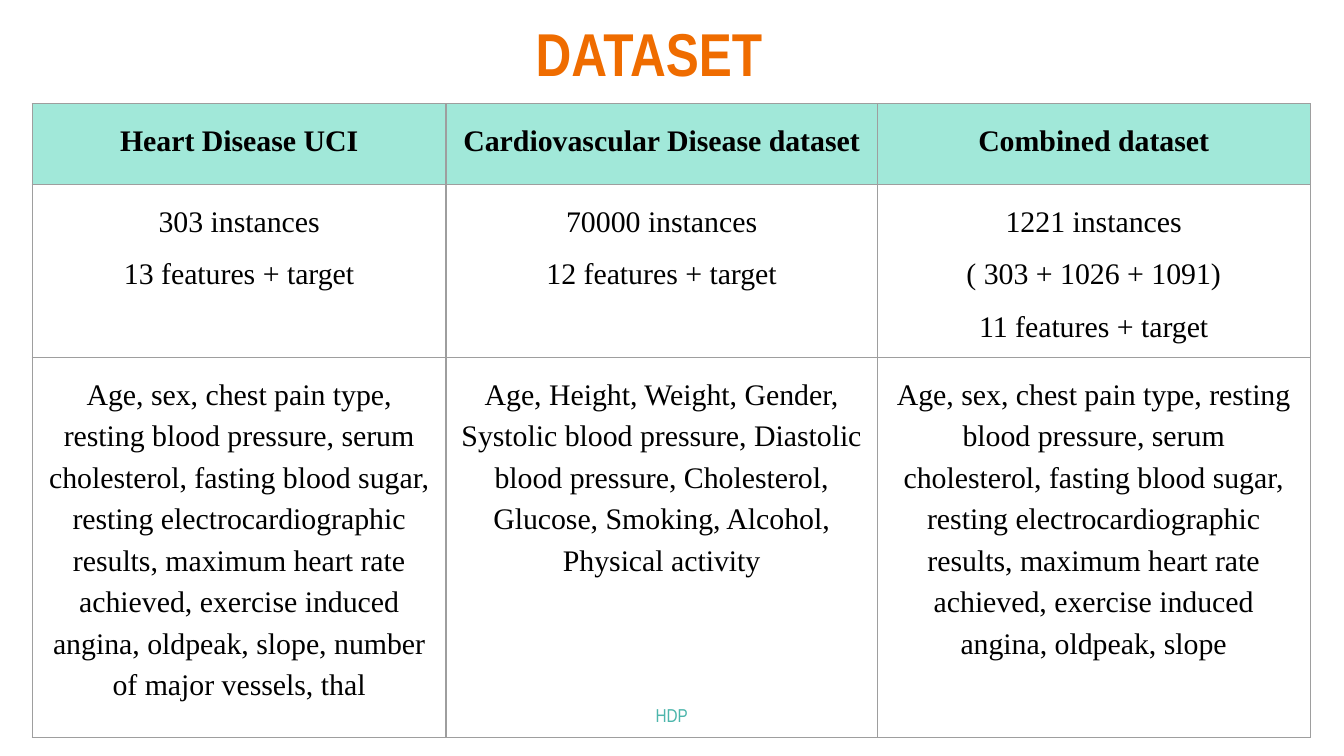
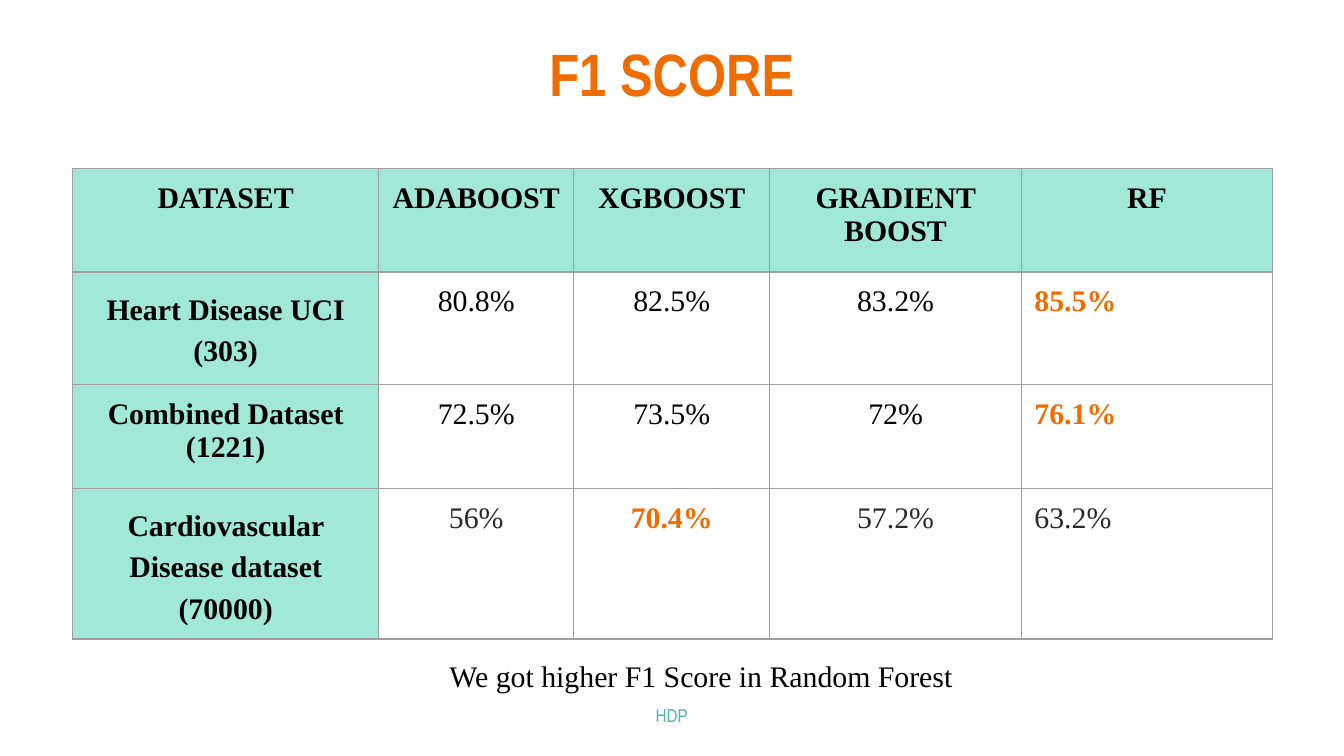
from dataclasses import dataclass
from lxml.etree import SubElement
from pptx import Presentation
from pptx.dml.color import RGBColor as Rgb
from pptx.enum.text import MSO_ANCHOR as Anchor, MSO_AUTO_SIZE as Auto, PP_ALIGN as Align
from pptx.oxml.ns import qn
from pptx.util import Cm, Pt


@dataclass(frozen=True)
class Theme:
    accent: str = "EF6C00"
    mint: str = "A1E8D9"
    teal: str = "4DB6AC"
    ink: str = "000000"
    soft: str = "292929"
    rule: str = "9E9E9E"
    head: str = "Arial Narrow"
    body: str = "Times New Roman"
    title: float = 32
    text: float = 16
    foot: float = 10
    line: float = 0.75
    pad: float = 0.25


T = Theme()


def assign(item, vals):
    for key, val in vals.items():
        setattr(item, key, val)


def paint(para, size, name, color, bold=False, align=Align.CENTER):
    para.alignment = align
    assign(para.font, {"size": Pt(size), "name": name, "bold": bold})
    para.font.color.rgb = Rgb.from_string(color)


def inset(item):
    assign(item, {f"margin_{side}": Cm(T.pad)
                  for side in ("left", "top", "right", "bottom")})


# Text parts
def label(shape, box, text, anchor=Anchor.TOP, indent=0, **look):
    assign(shape, dict(zip(("left", "top", "width", "height"), map(Cm, box))))
    frame = shape.text_frame
    inset(frame)
    assign(frame, {"word_wrap": True, "auto_size": Auto.NONE, "vertical_anchor": anchor,
                   "margin_left": Cm(T.pad + indent)})
    frame.text = text
    paint(frame.paragraphs[0], **look)


def note(slide, box, text, **look):
    label(slide.shapes.add_textbox(*map(Cm, box)), box, text, **look)


def page(deck, title, box, size=T.title):
    slide = deck.slides.add_slide(deck.slide_layouts[5])
    label(slide.shapes.title, box, title, Anchor.MIDDLE,
          size=size, name=T.head, color=T.accent, bold=True)
    return slide


def footer(slide):
    note(slide, (8.53, 13.06, 8.33, 0.94), "HDP", size=T.foot, name=T.head, color=T.teal)


# Table parts
def border(cell):
    props = cell._tc.get_or_add_tcPr()
    for side in ("lnL", "lnR", "lnT", "lnB"):
        line = SubElement(props, qn(f"a:{side}"), w=str(Pt(T.line)))
        fill = SubElement(line, qn("a:solidFill"))
        SubElement(fill, qn("a:srgbClr"), val=T.rule)


def write(cell, text, fill=None, loose=False, color=T.ink, bold=False, align=Align.CENTER):
    border(cell)
    inset(cell)
    if fill:
        cell.fill.solid()
        cell.fill.fore_color.rgb = Rgb.from_string(fill)
    else:
        cell.fill.background()
    cell.text = text
    paras = cell.text_frame.paragraphs
    for i, para in enumerate(paras):
        if loose:
            assign(para, {"line_spacing": 1.25, "space_before": Pt(6 if i else 0),
                          "space_after": Pt(6 if i == len(paras) - 1 else 0)})
        paint(para, T.text, T.body, color, bold, align)


def grid(slide, left, top, cols, rows, data, style):
    """Add a table; style(row, col) gives the format of each cell."""
    table = slide.shapes.add_table(len(rows), len(cols), Cm(left), Cm(top),
                                   Cm(sum(cols)), Cm(sum(rows))).table
    assign(table, {"first_row": False, "horz_banding": False})
    for col, width in zip(table.columns, cols):
        col.width = Cm(width)
    for row, height in zip(table.rows, rows):
        row.height = Cm(height)
    for r, line in enumerate(data):
        for c, text in enumerate(line):
            write(table.cell(r, c), text, **style(r, c))


# Slide 1: the three datasets
def dataset(deck):
    slide = page(deck, "DATASET", (0.43, 0, 23.67, 1.96), 32.4)
    common = ("Age, sex, chest pain type, resting blood pressure, serum cholesterol, "
              "fasting blood sugar, resting electrocardiographic results, maximum heart "
              "rate achieved, exercise induced angina, oldpeak, slope")
    data = (
        ("Heart Disease UCI", "Cardiovascular Disease dataset", "Combined dataset"),
        ("303 instances\n13 features + target",
         "70000 instances\n12 features + target",
         "1221 instances\n( 303 + 1026 + 1091)\n11 features + target"),
        (common + ", number of major vessels, thal",
         "Age, Height, Weight, Gender, Systolic blood pressure, Diastolic blood pressure, "
         "Cholesterol, Glucose, Smoking, Alcohol, Physical activity",
         common),
    )

    def style(r, c):
        return {"loose": True, "bold": r == 0, "fill": None if r else T.mint}

    grid(slide, 0.61, 1.96, (7.82, 8.15, 8.18), (1.52, 3.02, 7.19), data, style)
    footer(slide)


# Slide 2: scores by model
def score(deck):
    slide = page(deck, "F1 SCORE", (0.89, 0.43, 23.62, 1.88))
    data = (
        ("DATASET", "ADABOOST", "XGBOOST", "GRADIENT BOOST", "RF"),
        ("Heart Disease UCI (303)", "80.8%", "82.5%", "83.2%", "85.5%"),
        ("Combined Dataset (1221)", "72.5%", "73.5%", "72%", "76.1%"),
        ("Cardiovascular Disease dataset (70000)", "56%", "70.4%", "57.2%", "63.2%"),
    )
    best = {(1, 4), (2, 4), (3, 2)}

    def style(r, c):
        if r == 0 or c == 0:
            return {"fill": T.mint, "bold": True, "loose": r in (1, 3)}
        top = (r, c) in best
        return {"bold": top, "color": T.accent if top else T.soft if r == 3 else T.ink,
                "align": Align.LEFT if c == 4 else Align.CENTER}

    grid(slide, 1.37, 3.18, (5.79, 3.68, 3.71, 4.75, 4.75), (1.96, 2.13, 1.96, 2.11),
         data, style)
    footer(slide)
    note(slide, (1.22, 12.19, 22.94, 1.19), "We got higher F1 Score in Random Forest",
         indent=1.12, size=T.text, name=T.body, color=T.ink)


def main():
    deck = Presentation()
    assign(deck, {"slide_width": Cm(25.4), "slide_height": Cm(14.29)})
    dataset(deck)
    score(deck)
    deck.save("out.pptx")


if __name__ == "__main__":
    main()
